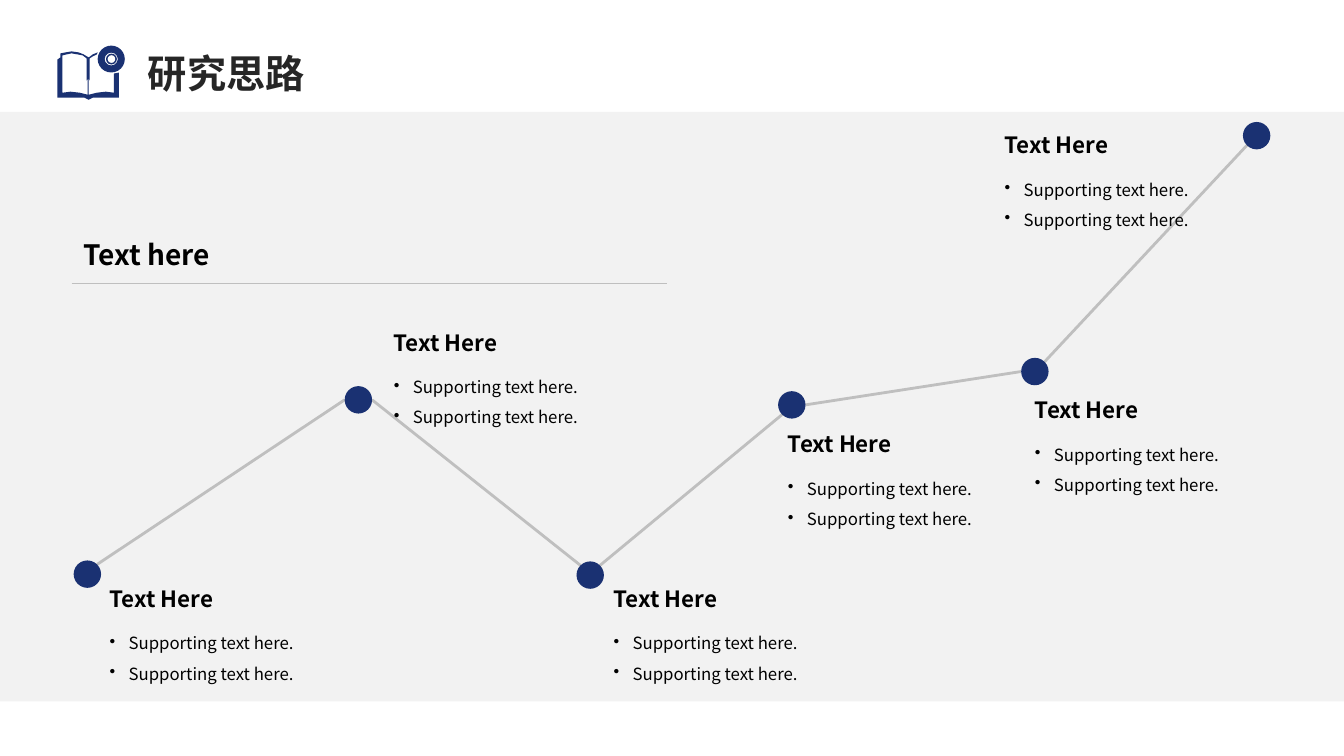
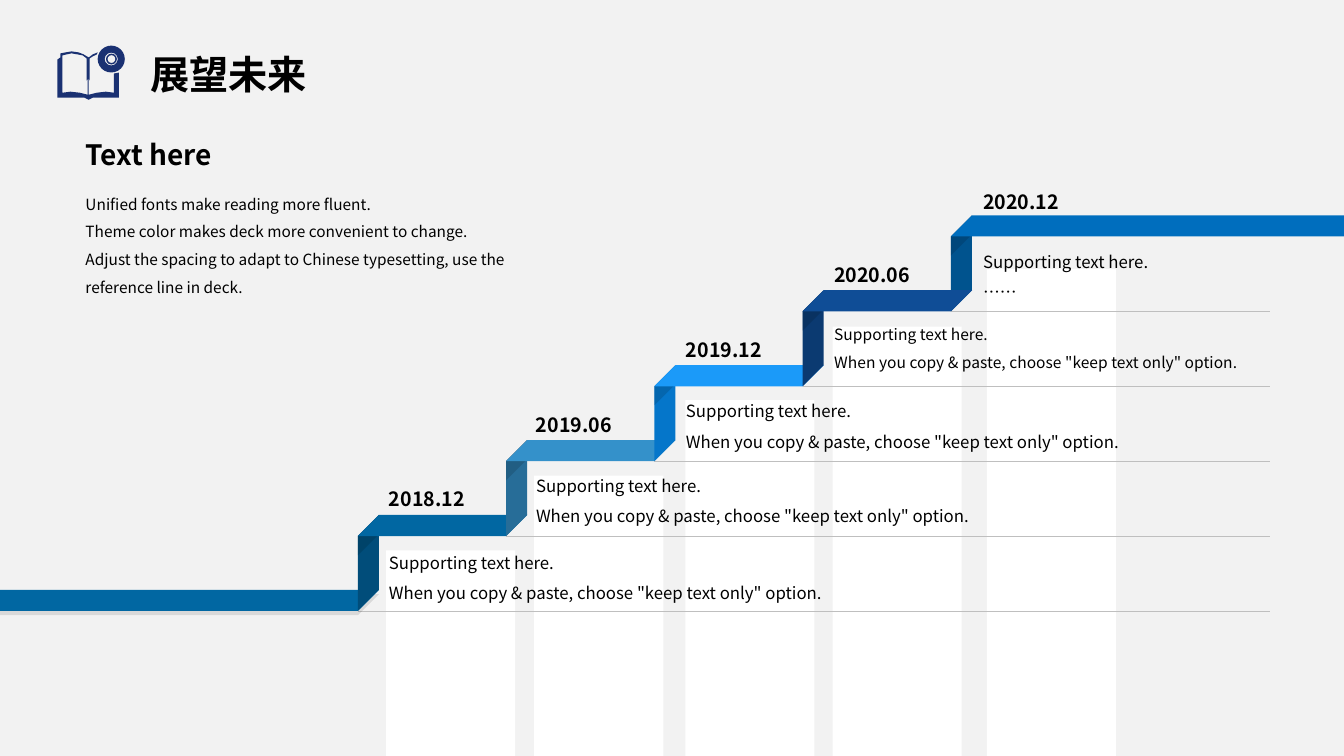
from dataclasses import dataclass

from lxml import etree
from pptx import Presentation
from pptx import util as u
from pptx.dml.color import RGBColor
from pptx.enum import shapes, text
from pptx.oxml.ns import qn


@dataclass(frozen=True)
class Theme:
    font: str = "Noto Sans CJK SC"
    navy: str = "1A3172"
    black: str = "000000"
    charcoal: str = "262626"
    white: str = "FFFFFF"
    mist: str = "F2F2F2"
    rule: str = "BFBFBF"
    title: float = 28
    subtitle: float = 20
    heading: float = 16
    date: float = 14
    body: float = 12
    compact: float = 11.1
    note: float = 11


theme = Theme()
SHAPE = shapes.MSO_SHAPE
ANCHOR = text.MSO_ANCHOR


def add_panel(page, kind, area, fill, adjust=None, upright=False):
    left, top, width, height = area
    if upright:
        left, top = left + (width - height) / 2, top + (height - width) / 2
        width, height = height, width
    panel = page.shapes.add_shape(kind, u.Pt(left), u.Pt(top), u.Pt(width), u.Pt(height))
    panel.shadow.inherit = False
    panel.fill.solid()
    panel.fill.fore_color.rgb = RGBColor.from_string(fill)
    panel.line.fill.background()
    if adjust is not None:
        panel.adjustments[0] = adjust
    if upright:
        panel.rotation = 90
        panel.element.spPr.find(qn("a:xfrm")).set("flipH", "1")
    return panel


def add_text(page, area, lines, size, bold=False, color=theme.black, spacing=None,
             anchor=ANCHOR.TOP, bottom=3.6, bullet=False):
    box = page.shapes.add_textbox(*map(u.Pt, area))
    frame_format = {"word_wrap": True, "vertical_anchor": anchor, "margin_bottom": u.Pt(bottom)}
    for name, value in frame_format.items():
        setattr(box.text_frame, name, value)
    box.text_frame.text = "\n".join(lines)
    for para in box.text_frame.paragraphs:
        para.line_spacing = spacing
        span = para.runs[0]
        span_format = {"name": theme.font, "size": u.Pt(size), "bold": bold}
        for name, value in span_format.items():
            setattr(span.font, name, value)
        span.font.color.rgb = RGBColor.from_string(color)
        etree.SubElement(span.font._element, qn("a:ea"), typeface=theme.font)
        if bullet:
            props = para._p.get_or_add_pPr()
            props.set("marL", str(u.Pt(13.5)))
            props.set("indent", str(-u.Pt(13.5)))
            etree.SubElement(props, qn("a:buChar"), char="•")


deck = Presentation()
deck.slide_width, deck.slide_height = u.Pt(960), u.Pt(540)

book_outline = [
    (71, 51), (78, 52), (83, 54), (88, 57), (92, 54), (97, 52), (96, 54), (92, 56), (89, 58),
    (89, 80), (88, 78), (88, 94), (96, 92), (105, 91), (113, 92), (113, 73), (118, 72),
    (118, 97), (92, 97), (88, 99), (84, 97), (57, 97), (57, 59), (60, 57), (60, 53), (65, 52),
]
book_page = [
    (71, 53), (66, 54), (62, 55), (62, 92), (70, 91), (79, 92), (87, 94), (87, 78),
    (86, 80), (86, 58), (82, 55), (77, 54),
]
page_styles = [
    (theme.white, "研究思路", 98.6, 20.2, theme.charcoal),
    (theme.mist, "展望未来", 100.1, 20.9, theme.black),
]
pages = []
for background, title, left, top, color in page_styles:
    page = deck.slides.add_slide(deck.slide_layouts[6])
    page.background.fill.solid()
    page.background.fill.fore_color.rgb = RGBColor.from_string(background)
    outline = page.shapes.build_freeform(*book_outline[0], scale=u.Pt(0.72))
    outline.add_line_segments(book_outline[1:])
    outline.move_to(*book_page[0])
    outline.add_line_segments(book_page[1:])
    book = outline.convert_to_shape()
    book.shadow.inherit = False
    book.fill.solid()
    book.fill.fore_color.rgb = RGBColor.from_string(theme.navy)
    book.line.fill.background()
    add_panel(page, SHAPE.DONUT, (69.8, 32.6, 19.4, 19.2), theme.navy, 0.26)
    add_panel(page, SHAPE.DONUT, (75.7, 38.3, 7.8, 7.8), theme.navy, 0.14)
    add_text(page, (left, top, 854.6, 52.6), [title], theme.title, True, color, 0.9, ANCHOR.BOTTOM)
    pages.append(page)
route_page, stairs_page = pages

add_panel(route_page, SHAPE.RECTANGLE, (0, 80, 960, 421), theme.mist)

dot_size = 19.6
stops = [
    (52.6, 400.3, 71.3, 413.3),
    (246.2, 275.8, 274.3, 230.4),
    (411.8, 401, 431.3, 413.3),
    (555.8, 279.4, 555.8, 303.1),
    (729.4, 255.6, 732.2, 278.6),
    (887.8, 87.1, 710.6, 89.3),
]
near, middle, far = dot_size * 0.15, dot_size * 0.5, dot_size * 0.85
sites = {
    "left": (0, middle), "right": (dot_size, middle),
    "top left": (near, near), "top right": (far, near), "bottom left": (near, far),
}
joins = [
    ("top right", "left"), ("right", "top left"), ("top right", "bottom left"),
    ("right", "left"), ("top right", "bottom left"),
]
lines = [(route_page, 51.1, 202.3, 476.6, 202.3, 0.25)]
for start, end, (leave, arrive) in zip(stops, stops[1:], joins):
    from_x, from_y = sites[leave]
    to_x, to_y = sites[arrive]
    lines.append((route_page, start[0] + from_x, start[1] + from_y,
                  end[0] + to_x, end[1] + to_y, 2))

band, run, rise = 15.1, 105.9, 53.5
first_x, first_y, right_edge = 255.6, 367.8, 907.2
copy_tip = 'When you copy & paste, choose "keep text only" option.'
steps = [
    ("2018.12", copy_tip, theme.body, 275.8, 393.1, 270.7, 383.8, "014D7A", "003451", "0167A2"),
    ("2019.06", copy_tip, theme.body, 381.6, 339.8, 375.8, 329, "276D98", "1A4865", "3491CA"),
    ("2019.12", copy_tip, theme.body, 489.6, 285.8, 482.9, 275.8, "0576CA", "044E86", "1B9AF9"),
    ("2020.06", copy_tip, theme.compact, 594.7, 233.3, 588.8, 221.8, "0B3A71", "08264B", "0F4D96"),
    ("2020.12", "……", theme.body, 704.9, 192.2, 695.2, 169.2, "00538E", "00375F", "006EBE"),
]
for index, step in enumerate(steps):
    column_x, column_y = step[3:5]
    add_panel(stairs_page, SHAPE.RECTANGLE, (column_x, column_y, 92.2, 540 - column_y), theme.white)
    rule_x = first_x + index * run
    rule_y = first_y + band + (1 - index) * rise
    lines.append((stairs_page, rule_x, rule_y, right_edge, rule_y, 0.25))

for page, from_x, from_y, to_x, to_y, weight in lines:
    line = page.shapes.add_connector(
        shapes.MSO_CONNECTOR.STRAIGHT, u.Pt(from_x), u.Pt(from_y), u.Pt(to_x), u.Pt(to_y))
    line.line.color.rgb = RGBColor.from_string(theme.rule)
    line.line.width = u.Pt(weight)
    etree.SubElement(line._element.spPr, qn("a:effectLst"))

add_text(route_page, (52.6, 166.3, 452.9, 34.6), ["Text here"], theme.subtitle, True)
for dot_x, dot_y, label_x, label_y in stops:
    add_panel(route_page, SHAPE.OVAL, (dot_x, dot_y, dot_size, dot_size), theme.navy)
    add_text(route_page, (label_x, label_y, 168.5, 28.1), ["Text Here"], theme.heading, True,
             anchor=ANCHOR.MIDDLE)
    add_text(route_page, (label_x, label_y + 28.1, 168.5, 51.8), ["Supporting text here."] * 2,
             theme.body, spacing=1.5, bullet=True)

ground = add_panel(stairs_page, SHAPE.PARALLELOGRAM,
                   (-15.8, first_y + rise, first_x + band + 15.8, band), "0167A2", 1)
shadow = etree.SubElement(ground.element.spPr.find(qn("a:effectLst")), qn("a:outerShdw"),
                          blurRad="0", dist=str(u.Pt(3)), dir="5400000", rotWithShape="0")
shade = etree.SubElement(shadow, qn("a:srgbClr"), val=theme.black)
etree.SubElement(shade, qn("a:alpha"), val="10000")

for index in (0, 1, 2, 4, 3):
    riser, fold, tread = steps[index][-3:]
    x, y = first_x + index * run, first_y - index * rise
    width = 297.4 if index == 4 else run + band
    add_panel(stairs_page, SHAPE.PARALLELOGRAM, (x, y, band, rise + band), riser, 1, True)
    corner = add_panel(stairs_page, SHAPE.PARALLELOGRAM, (x, y, band, 28.8), fold, 1, True)
    tint = corner.element.spPr.find(qn("a:solidFill"))[0]
    etree.SubElement(tint, qn("a:alpha"), val="40000")
    add_panel(stairs_page, SHAPE.PARALLELOGRAM, (x, y, width, band), tread, 1)

for index, (date, tip, size, _, _, text_x, text_y, *_) in enumerate(steps):
    date_bottom = first_y - index * rise + (1.5 if index == 4 else 0)
    add_text(stairs_page, (text_x, date_bottom - 32.4, 105, 32.4), [date], theme.date, True,
             anchor=ANCHOR.BOTTOM, bottom=2.9)
    add_text(stairs_page, (text_x, text_y, right_edge - text_x, 64.1),
             ["Supporting text here.", tip], size, spacing=1.5)

add_text(stairs_page, (54, 94.3, 342.7, 34.6), ["Text here"], theme.subtitle, True)
add_text(stairs_page, (54, 128.9, 342.7, 114.5), [
    "Unified fonts make reading more fluent.",
    "Theme color makes deck more convenient to change.",
    "Adjust the spacing to adapt to Chinese typesetting, use the reference line in deck.",
], theme.note, spacing=1.5)

deck.save("out.pptx")
